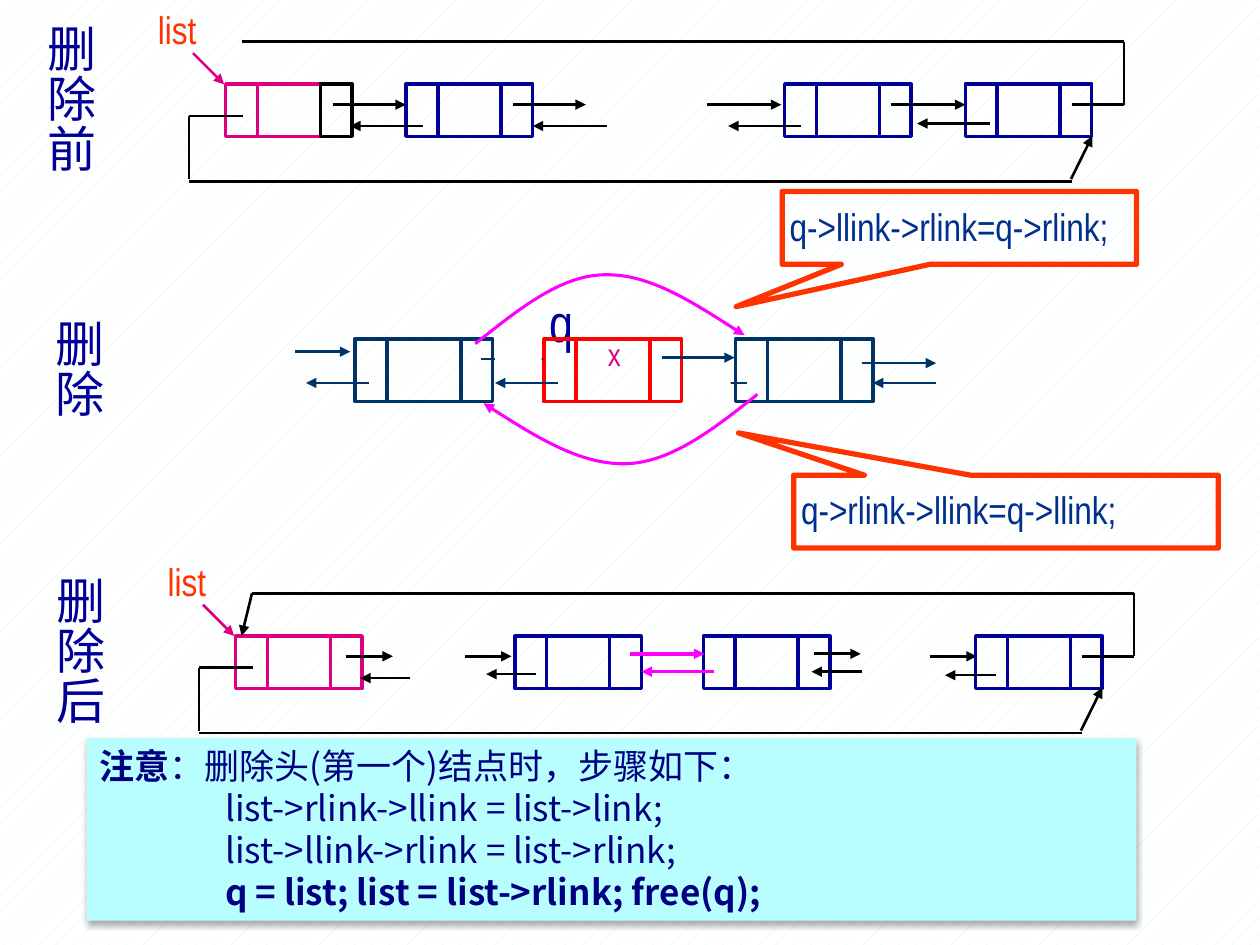
from lxml.etree import SubElement
from pptx import Presentation
from pptx.dml.color import RGBColor
from pptx.enum.dml import MSO_PATTERN
from pptx.enum.shapes import MSO_CONNECTOR, MSO_SHAPE
from pptx.enum.text import MSO_ANCHOR, PP_ALIGN
from pptx.oxml.ns import qn
from pptx.util import Cm, Pt

BLACK = RGBColor(0x00, 0x00, 0x00)
WHITE = RGBColor(0xFF, 0xFF, 0xFF)
PINK = RGBColor(0xDC, 0x00, 0x81)
NAVY = RGBColor(0x00, 0x00, 0x99)
TEAL = RGBColor(0x00, 0x33, 0x66)
RED = RGBColor(0xFF, 0x00, 0x00)
ORANGE = RGBColor(0xFF, 0x33, 0x00)
MAGENTA = RGBColor(0xFF, 0x00, 0xFF)
CODE_BLUE = RGBColor(0x00, 0x2F, 0x8C)
NOTE_TEXT = RGBColor(0x00, 0x00, 0x80)
NOTE_FILL = RGBColor(0xB9, 0xFE, 0xFF)
PATTERN = RGBColor(0xC1, 0xFE, 0xF9)

deck = Presentation()
deck.slide_width, deck.slide_height = Cm(25.4), Cm(19.05)
page = deck.slides.add_slide(deck.slide_layouts[6])
backdrop = page.background.fill
backdrop.patterned()
backdrop.pattern = MSO_PATTERN.PERCENT_5
backdrop.fore_color.rgb = PATTERN
backdrop.back_color.rgb = WHITE


def add_line(x1, y1, x2, y2, color=BLACK, width=1.5, arrow=True):
    line = page.shapes.add_connector(
        MSO_CONNECTOR.STRAIGHT, Cm(x1), Cm(y1), Cm(x2), Cm(y2))
    line.line.color.rgb = color
    line.line.width = Pt(width)
    if arrow:
        SubElement(line.line._get_or_add_ln(), qn("a:tailEnd"), type="triangle")
    SubElement(line._element.spPr, qn("a:effectLst"))


def add_text(place, lines, size, color, align=PP_ALIGN.CENTER, wrap=False, spacing=1.0):
    box = page.shapes.add_textbox(*[Cm(v) for v in place])
    frame = box.text_frame
    frame.word_wrap = wrap
    for number, line in enumerate(lines):
        para = frame.add_paragraph() if number else frame.paragraphs[0]
        para.alignment = align
        para.line_spacing = spacing
        span = para.add_run()
        span.text = line
        span.font.name = "Arial Narrow"
        span.font.size = Pt(size)
        span.font.color.rgb = color


# Row captions and node labels
for left, top, height, caption in [(0.71, 0.43, 3.3, list("删除前")),
                                   (0.86, 6.38, 2.29, ["删除"]),
                                   (0.89, 11.56, 3.3, list("删除后"))]:
    add_text((left, top, 1.5, height), caption, 28, NAVY,
             wrap=len(caption) == 1, spacing=0.85)
add_text((11.89, 6.63, 0.99, 1.4), ["x"], 18, PINK)
add_text((10.82, 5.72, 0.91, 1.09), ["q"], 30, NAVY)

# Nodes of three cells: left, top, middle width, height, cell colours
nodes = [(4.55, 1.69, 1.27, 1.06, (PINK, PINK, BLACK)),
         (4.75, 12.82, 1.27, 1.06, (PINK,) * 3),
         (10.97, 6.83, 1.49, 1.27, (RED,) * 3)]
nodes += [(left, 1.69, 1.27, 1.06, (NAVY,) * 3) for left in (8.19, 15.82, 19.46)]
nodes += [(left, 12.82, 1.27, 1.06, (NAVY,) * 3) for left in (10.38, 14.18, 19.67)]
nodes += [(left, 6.83, 1.49, 1.27, (TEAL,) * 3) for left in (7.16, 14.83)]
for left, top, middle, height, colors in nodes:
    for width, color in zip((0.64, middle, 0.64), colors):
        cell = page.shapes.add_shape(
            MSO_SHAPE.RECTANGLE, Cm(left), Cm(top), Cm(width), Cm(height))
        cell.shadow.inherit = False
        cell.fill.background()
        cell.line.color.rgb = color
        cell.line.width = Pt(2)
        left += width

# Horizontal links between nodes: colour, width, then (start x, end x, y)
links = [
    (BLACK, 1.5, [(6.71, 8.18, 2.11), (10.34, 11.81, 2.11), (14.25, 15.75, 2.11),
                  (17.96, 19.46, 2.11), (8.53, 7.06, 2.54), (12.24, 10.74, 2.54),
                  (16.15, 14.68, 2.54), (19.96, 18.49, 2.49)]),
    (TEAL, 1.5, [(5.94, 7.06, 7.09), (7.44, 6.17, 7.72), (9.7, 10.97, 7.24),
                 (11.25, 9.98, 7.72), (13.34, 14.81, 7.21), (15.06, 13.79, 7.72),
                 (17.37, 18.87, 7.32), (18.87, 17.6, 7.72)]),
    (BLACK, 1.5, [(6.98, 7.92, 13.23), (8.26, 7.26, 13.67), (9.37, 10.31, 13.23),
                  (10.8, 9.8, 13.59), (16.41, 17.35, 13.18), (17.37, 16.36, 13.54),
                  (18.75, 19.69, 13.23), (20.07, 19.05, 13.61)]),
    (MAGENTA, 2, [(12.7, 14.2, 13.18), (14.4, 12.93, 13.54)]),
]
for color, width, spans in links:
    for start, end, y in spans:
        add_line(start, y, end, y, color, width)

# List pointer and circular links, the same in the first and last rows
for dx, dy in [(0, 0), (0.2, 11.12)]:
    add_text((2.82 + dx, dy, 1.5, 1.19), ["list"], 22, ORANGE)
    add_line(3.89 + dx, 1.07 + dy, 4.52 + dx, 1.7 + dy, PINK)
    for x1, y1, x2, y2 in [(21.62, 2.11, 22.66, 2.11), (4.88, 0.84, 22.66, 0.84),
                           (22.66, 0.84, 22.66, 2.11), (3.82, 2.34, 4.9, 2.34),
                           (3.82, 3.66, 21.62, 3.66), (3.81, 2.34, 3.81, 3.61)]:
        add_line(x1 + dx, y1 + dy, x2 + dx, y2 + dy, arrow=False)
    add_line(21.59 + dx, 3.61 + dy, 22.02 + dx, 2.74 + dy)
add_line(5.08, 11.96, 4.87, 12.82)

# White patches that break the removed links
for left, top in [(9.98, 6.88), (13.79, 7.34)]:
    patch = page.shapes.add_shape(
        MSO_SHAPE.RECTANGLE, Cm(left), Cm(top), Cm(0.94), Cm(0.61))
    patch.shadow.inherit = False
    patch.fill.solid()
    patch.fill.fore_color.rgb = WHITE
    patch.line.fill.background()

# Curved new links: start point, then two cubic segments
curves = [
    [(9.58, 6.93), (10.44, 6.25), (11.28, 5.56), (12.17, 5.54),
     (13.08, 5.51), (14.05, 6.15), (15.01, 6.76)],
    [(15.27, 7.95), (14.4, 8.64), (13.54, 9.32), (12.62, 9.35),
     (11.71, 9.37), (10.72, 8.76), (9.75, 8.13)],
]
for points in curves:
    start, *rest = [(Cm(x), Cm(y)) for x, y in points]
    builder = page.shapes.build_freeform(*start)
    builder.add_line_segments(rest, close=False)
    curve = builder.convert_to_shape()
    curve.shadow.inherit = False
    curve.fill.background()
    curve.line.color.rgb = MAGENTA
    curve.line.width = Pt(1.75)
    SubElement(curve.line._get_or_add_ln(), qn("a:tailEnd"), type="triangle")
    outline = next(curve._element.iter(qn("a:path")))
    steps = outline.findall(qn("a:lnTo"))
    for first in range(0, len(steps), 3):
        bend = SubElement(outline, qn("a:cubicBezTo"))
        for step in steps[first:first + 3]:
            bend.append(step[0])
            outline.remove(step)

# Callouts with the two statements
for left, top, width, tip, statement in [
        (15.77, 3.86, 7.14, 1.08, "q->llink->rlink=q->rlink;"),
        (16, 9.58, 8.56, -1.08, "q->rlink->llink=q->llink;")]:
    callout = page.shapes.add_shape(
        MSO_SHAPE.RECTANGULAR_CALLOUT, Cm(left), Cm(top), Cm(width), Cm(1.47))
    callout.adjustments[0] = -0.63
    callout.adjustments[1] = tip
    callout.shadow.inherit = False
    callout.fill.background()
    callout.line.color.rgb = ORANGE
    callout.line.width = Pt(3)
    add_text((left - 0.1, top + 0.1, 9.2, 1.19), [statement], 22, CODE_BLUE,
             PP_ALIGN.LEFT, wrap=True)

# Note on deleting the head node
note = page.shapes.add_shape(
    MSO_SHAPE.RECTANGLE, Cm(1.75), Cm(14.88), Cm(21.16), Cm(3.68))
note.fill.solid()
note.fill.fore_color.rgb = NOTE_FILL
note.line.fill.background()
effects = SubElement(note._element.spPr, qn("a:effectLst"))
shadow = SubElement(effects, qn("a:outerShdw"), blurRad=str(Pt(3.5)),
                    dist=str(Pt(2.2)), dir="5400000", rotWithShape="0")
shade = SubElement(shadow, qn("a:srgbClr"), val=str(BLACK))
SubElement(shade, qn("a:alpha"), val="32000")
frame = note.text_frame
frame.word_wrap = True
frame.vertical_anchor = MSO_ANCHOR.TOP
for number, spans in enumerate([
        [("注意", True), ("：删除头(第一个)结点时，步骤如下：", False)],
        [("list->rlink->llink = list->link;", False)],
        [("list->llink->rlink = list->rlink;", False)],
        [("q = list; list = list->rlink; free(q);", True)]]):
    para = frame.add_paragraph() if number else frame.paragraphs[0]
    para.alignment = PP_ALIGN.JUSTIFY
    if number:
        para.level = 1
        para._p.get_or_add_pPr().set("marL", str(Cm(2.54)))
    for words, bold in spans:
        span = para.add_run()
        span.text = words
        span.font.name = "Noto Sans CJK SC"
        span.font.size = Pt(20)
        span.font.bold = bold
        span.font.color.rgb = NOTE_TEXT
        SubElement(span.font._element, qn("a:ea"), typeface="Noto Sans CJK SC")

deck.save("out.pptx")
